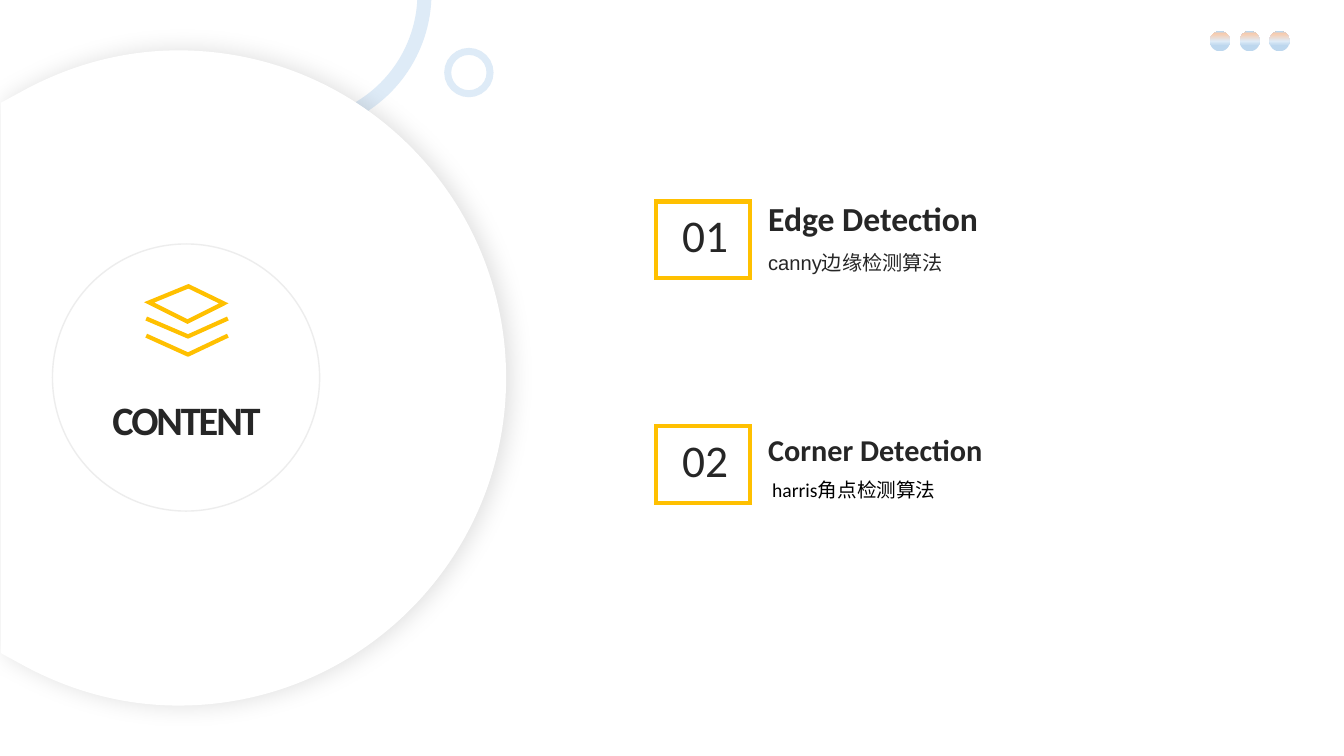
"""Build the contents slide with its round panel and two numbered topics."""
from lxml.etree import SubElement
from pptx import Presentation
from pptx.dml.color import RGBColor
from pptx.enum.shapes import MSO_CONNECTOR, MSO_SHAPE
from pptx.enum.text import MSO_ANCHOR, PP_ALIGN
from pptx.oxml.ns import qn
from pptx.util import Inches, Pt

HUES = {"white": "FFFFFF", "gold": "FFC000", "ink": "262626", "black": "000000",
        "pale": "DEEBF7", "sky": "BDD7EE", "peach": "F8CBAD", "rim": "EDEDED"}


def paint(shape, fill=None, line=None, width=1):
    shape.shadow.inherit = False
    if fill:
        shape.fill.solid()
        shape.fill.fore_color.rgb = RGBColor.from_string(HUES[fill])
    else:
        shape.fill.background()
    if line:
        shape.line.color.rgb = RGBColor.from_string(HUES[line])
        shape.line.width = Pt(width)
        SubElement(shape._element.spPr.find(qn("a:ln")), qn("a:miter"), lim="800000")
    else:
        shape.line.fill.background()


def write(area, text, size, face="Calibri", hue="ink", bold=False, wrap=True,
          align=PP_ALIGN.LEFT, anchor=MSO_ANCHOR.TOP, space=1.0):
    frame = shapes.add_textbox(*map(Inches, area)).text_frame
    frame.word_wrap = wrap
    frame.vertical_anchor = anchor
    para = frame.paragraphs[0]
    para.alignment = align
    para.line_spacing = space
    run = para.add_run()
    run.text = text
    run.font.size = Pt(size)
    run.font.name = face
    run.font.bold = bold
    run.font.color.rgb = RGBColor.from_string(HUES[hue])
    return run


deck = Presentation()
deck.slide_width, deck.slide_height = Inches(13.33), Inches(7.5)
slide = deck.slides.add_slide(deck.slide_layouts[6])
shapes = slide.shapes

ring = shapes.add_shape(MSO_SHAPE.OVAL, *map(Inches, (4.44, 0.51, 0.42, 0.42)))
paint(ring, line="pale", width=5)
arc = shapes.add_shape(MSO_SHAPE.ARC, *map(Inches, (1.56, -1.39, 2.65, 2.65)))
arc.adjustments[0], arc.adjustments[1] = 163.216, 201.097
arc.rotation = 90
paint(arc, line="pale", width=10)

for col in range(3):
    dot = shapes.add_shape(MSO_SHAPE.OVAL, Inches(12 + col * 0.295), Inches(0.31),
                           Inches(0.2), Inches(0.2))
    paint(dot)
    dot.fill.gradient()
    dot.fill.gradient_angle = 90
    stops = dot._element.spPr.find(".//" + qn("a:gsLst"))
    for stop in list(stops):
        stops.remove(stop)
    for share, hue in ((28, "sky"), (50, "pale"), (88, "peach"), (100, "sky")):
        stop = SubElement(stops, qn("a:gs"), pos=str(share * 1000))
        SubElement(stop, qn("a:srgbClr"), val=HUES[hue])

left, top = 0.01, 0.5
route = (((3.57, 0.5), (5.02, 1.96), (5.02, 3.75)),
         ((5.02, 5.54), (3.57, 7), (1.77, 7)),
         ((1.21, 7), (0.69, 6.85), (0.23, 6.6)),
         ((0.01, 6.48),), ((0.01, 1.02),), ((0.23, 0.9),),
         ((0.69, 0.65), (1.21, 0.5), (1.77, 0.5)))
pen = shapes.build_freeform(Inches(1.77), Inches(0.5))
pen.add_line_segments([(Inches(leg[-1][0]), Inches(leg[-1][1])) for leg in route], close=True)
panel = pen.convert_to_shape()
paint(panel, fill="white")
for leg, part in zip(route, list(panel._element.spPr.iter(qn("a:lnTo")))):
    if len(leg) == 3:
        bend = SubElement(part.getparent(), qn("a:cubicBezTo"))
        part.getparent().replace(part, bend)
        for x, y in leg:
            SubElement(bend, qn("a:pt"), x=str(Inches(x - left)), y=str(Inches(y - top)))
effect = panel._element.spPr.find(qn("a:effectLst"))
shade = SubElement(effect, qn("a:outerShdw"), blurRad=str(Pt(17)), dist=str(Pt(3)),
                   dir="0", algn="ctr", rotWithShape="0")
tint = SubElement(shade, qn("a:srgbClr"), val=HUES["black"])
SubElement(tint, qn("a:alpha"), val="12000")

disc = shapes.add_shape(MSO_SHAPE.OVAL, *map(Inches, (0.52, 2.42, 2.65, 2.65)))
paint(disc, fill="white", line="rim")

stack = shapes.add_group_shape().shapes
tile = [(Inches(x), Inches(y)) for x, y in
        ((1.48, 3), (1.87, 2.84), (2.22, 3.01), (1.86, 3.19))]
pen = stack.build_freeform(*tile[0])
pen.add_line_segments(tile[1:], close=True)
paint(pen.convert_to_shape(), line="gold", width=3)
for high, low in ((3.16, 3.34), (3.33, 3.52)):
    for start, stop in (((1.45, high), (1.87, low)), ((1.86, low), (2.26, high))):
        edge = stack.add_connector(MSO_CONNECTOR.STRAIGHT, *map(Inches, start + stop))
        edge.line.color.rgb = RGBColor.from_string(HUES["gold"])
        edge.line.width = Pt(3)
        SubElement(edge._element.spPr, qn("a:effectLst"))

title = write((0.74, 3.84, 2.22, 0.64), "CONTENT", 28.8, bold=True, wrap=False,
              align=PP_ALIGN.CENTER, anchor=MSO_ANCHOR.MIDDLE)
title.font._element.set("spc", "-150")

topics = (("Edge Detection", 24, 1.96), ("Corner Detection", 21.6, 4.23))
for row, (topic, size, top) in enumerate(topics):
    level = 2 + row * 2.23
    box = shapes.add_shape(MSO_SHAPE.RECTANGLE, *map(Inches, (6.51, level, 0.93, 0.76)))
    paint(box, line="gold", width=3)
    write((6.53, level + 0.01, 0.93, 0.71), f"{row + 1:02}", 32.4, align=PP_ALIGN.CENTER)
    write((7.52, top, 3.41, 0.46), topic, size, bold=True,
          anchor=MSO_ANCHOR.BOTTOM, space=0.9)
write((7.52, 2.48, 2.33, 0.34), "canny边缘检测算法", 14.4, face="Arial", space=0.8)
write((7.56, 4.69, 4.44, 0.34), "harris角点检测算法", 14, hue="black")

deck.save("out.pptx")
